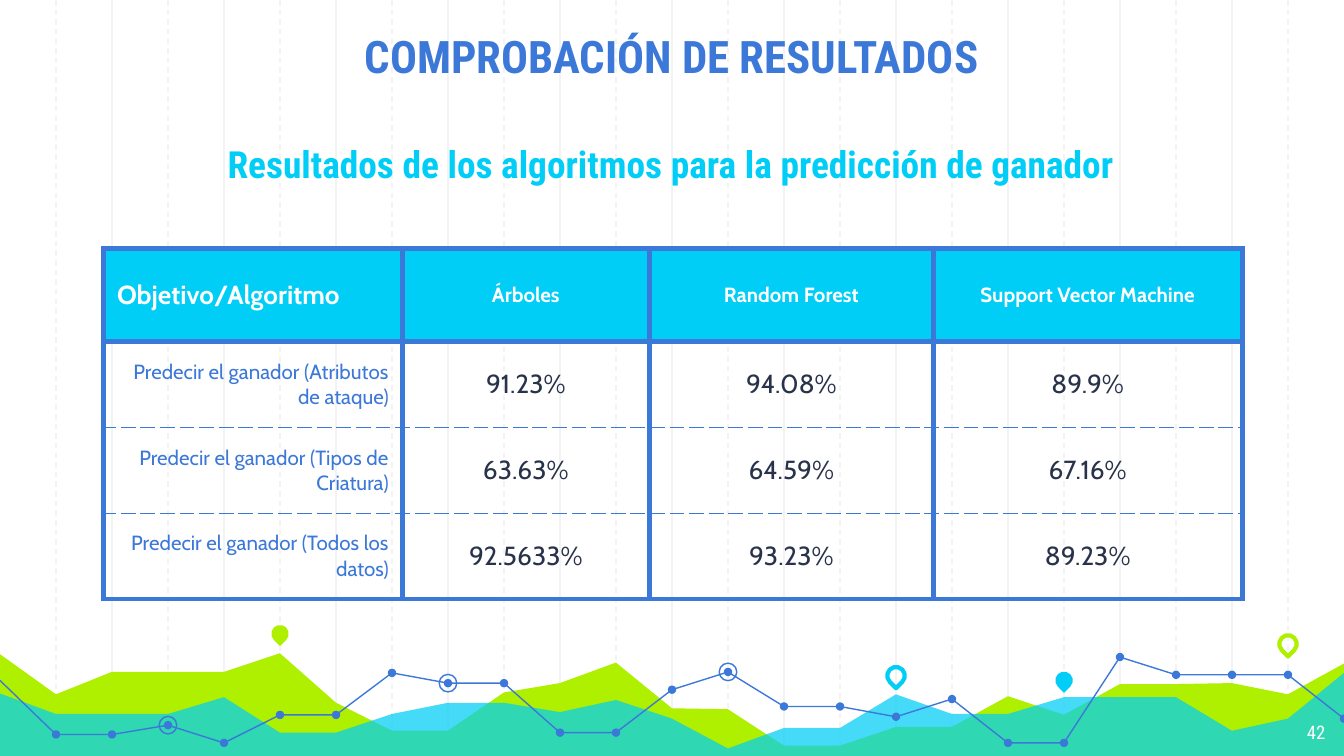
from pptx import Presentation
from pptx.dml.color import RGBColor
from pptx.enum.dml import MSO_LINE
from pptx.enum.shapes import MSO_CONNECTOR, MSO_SHAPE as Shape
from pptx.enum.text import MSO_ANCHOR as Anchor, PP_ALIGN as Align
from pptx.oxml.ns import qn
from pptx.util import Pt
from lxml.etree import SubElement

WIDTH, HEIGHT, STEP = 720, 405, 30
BLUE, CYAN, LIME, NAVY = "3C78D8", "00CEF6", "AFF000", "28324A"
WHITE, GRID = "FFFFFF", "F3F3F3"
HEADING, BODY = "Roboto Condensed", "Cabin"

LIME_AREA = [15.5, 37, 25, 25, 25, 15, 41.5, 56.5, 56.5, 36, 31, 20, 44.5, 45,
             64.5, 64.5, 54.5, 54.5, 38, 48, 31.5, 31.5, 31, 37, 20.5]
CYAN_AREA = [36.5, 47.5, 47.5, 47.5, 38.5, 57.5, 57.5, 47.5, 41.5, 41.5, 46.5, 40,
             50, 66, 55, 55, 37, 47.5, 47.5, 38.5, 38.5, 38.5, 56.5, 50, 25.5]
TREND = [29.5, 58.5, 58.5, 53.5, 63, 48, 48, 25.5, 31, 31, 57.5, 57.5, 34.5, 25,
         43.5, 43.5, 49, 39.5, 63, 63, 17, 26.5, 26.5, 26.5, 50]
RINGS = [3, 8, 13]
PINS = [(5, 4.5, LIME, True), (16, 27, CYAN, False),
        (19, 29.5, CYAN, True), (23, 10, LIME, False)]

COLUMNS = [160, 132.5, 152, 165.5]
ROWS = [50, 46, 46, 46]
RESULTS = [
    ["Objetivo/Algoritmo", "Árboles", "Random Forest", "Support Vector Machine"],
    ["Predecir el ganador (Atributos de ataque)", "91.23%", "94.08%", "89.9%"],
    ["Predecir el ganador (Tipos de Criatura)", "63.63%", "64.59%", "67.16%"],
    ["Predecir el ganador (Todos los datos)", "92.5633%", "93.23%", "89.23%"],
]


def color(value):
    """Return the colour of a hex string."""
    return RGBColor.from_string(value)


def style(shape, fill=None, line=None, weight=0.75):
    """Set the fill and outline of a shape, leaving out what is not given."""
    shape.shadow.inherit = False
    if fill:
        shape.fill.solid()
        shape.fill.fore_color.rgb = color(fill)
    else:
        shape.fill.background()
    if line:
        shape.line.color.rgb = color(line)
        shape.line.width = Pt(weight)
    else:
        shape.line.fill.background()


def add_run(paragraph, text, font, size, ink, bold=False, align=Align.CENTER):
    """Add one formatted run to a paragraph."""
    paragraph.alignment = align
    run = paragraph.add_run()
    run.text = text
    run.font.name, run.font.size, run.font.bold = font, Pt(size), bold
    run.font.color.rgb = color(ink)


def add_text(slide, box, text, size, ink, bold=True, align=Align.CENTER, anchor=Anchor.TOP):
    """Add a heading-font text box."""
    frame = slide.shapes.add_textbox(*map(Pt, box)).text_frame
    frame.word_wrap = True
    frame.vertical_anchor = anchor
    frame.margin_left = frame.margin_right = Pt(7.2)
    frame.margin_top = frame.margin_bottom = Pt(7.2)
    add_run(frame.paragraphs[0], text, HEADING, size, ink, bold, align)


def add_grid(slide, left, top, width, height):
    """Draw vertical guides, dashed at every odd step."""
    for step in range(1, width // STEP):
        x = left + step * STEP
        guide = slide.shapes.add_connector(
            MSO_CONNECTOR.STRAIGHT, Pt(x), Pt(top), Pt(x), Pt(top + height))
        guide.line.color.rgb = color(GRID)
        guide.line.width = Pt(0.75)
        if step % 2:
            guide.line.dash_style = MSO_LINE.DASH
        SubElement(guide.element.spPr, qn("a:effectLst"))


def add_path(slide, points, closed):
    """Build a freeform through points."""
    points = [(Pt(x), Pt(y)) for x, y in points]
    builder = slide.shapes.build_freeform(*points[0])
    builder.add_line_segments(points[1:], close=closed)
    return builder.convert_to_shape()


def add_marker(slide, kind, x, y, size):
    """Add a preset shape centred on a point."""
    return slide.shapes.add_shape(
        kind, Pt(x - size / 2), Pt(y - size / 2), Pt(size), Pt(size))


def add_landscape(slide, left, top, width, height):
    """Draw the two areas, the pins and the dotted trend line."""
    def points(values):
        """Place values one step apart."""
        return [(left + i * STEP, top + y) for i, y in enumerate(values)]

    base = [(left + width, top + height), (left, top + height)]
    style(add_path(slide, points(LIME_AREA) + base, True), LIME)
    area = add_path(slide, points(CYAN_AREA) + base, True)
    style(area, CYAN)
    fill = area.element.spPr.find(qn("a:solidFill"))
    SubElement(fill[0], qn("a:alpha"), val="73000")

    for step, y, ink, filled in PINS:
        pin = add_marker(slide, Shape.TEAR, left + step * STEP, top + y, 9.4)
        pin.rotation = 135
        style(pin, ink if filled else None, None if filled else ink, 2.25)

    trend = points(TREND)
    style(add_path(slide, trend, False), line=BLUE)
    for x, y in trend[1:]:
        style(add_marker(slide, Shape.OVAL, x, y, 4.5), BLUE)
    for step in RINGS:
        style(add_marker(slide, Shape.OVAL, *trend[step], 9.4), line=BLUE)


def add_borders(cell, dashed):
    """Draw the four cell borders, with thin dashes on the named sides."""
    properties = cell._tc.get_or_add_tcPr()
    for side in "LRTB":
        weight = 0.75 if side in dashed else 3
        line = SubElement(properties, qn(f"a:ln{side}"), w=str(Pt(weight)))
        fill = SubElement(line, qn("a:solidFill"))
        SubElement(fill, qn("a:srgbClr"), val=BLUE)
        SubElement(line, qn("a:prstDash"), val="dash" if side in dashed else "solid")


def add_results(slide, left, top, width, height):
    """Add the table of results per algorithm."""
    table = slide.shapes.add_table(
        len(ROWS), len(COLUMNS), Pt(left), Pt(top), Pt(width), Pt(height)).table
    table.first_row = table.horz_banding = False
    for column, size in zip(table.columns, COLUMNS):
        column.width = Pt(size)
    for row, size in zip(table.rows, ROWS):
        row.height = Pt(size)
    for i, texts in enumerate(RESULTS):
        dashed = ("T" if i > 1 else "") + ("B" if 0 < i < len(ROWS) - 1 else "")
        for j, text in enumerate(texts):
            cell = table.cell(i, j)
            add_borders(cell, dashed)
            cell.vertical_anchor = Anchor.MIDDLE
            cell.margin_left = cell.margin_right = Pt(7.2)
            cell.margin_top = cell.margin_bottom = Pt(5)
            header, label = i == 0, j == 0
            if header:
                cell.fill.solid()
                cell.fill.fore_color.rgb = color(CYAN)
            else:
                cell.fill.background()
            size = 14 if header == label else 11
            ink = WHITE if header else BLUE if label else NAVY
            align = Align.CENTER
            if label:
                align = Align.LEFT if header else Align.RIGHT
            add_run(cell.text_frame.paragraphs[0], text, BODY, size, ink, header, align)


def main():
    """Build and save the presentation."""
    presentation = Presentation()
    presentation.slide_width, presentation.slide_height = Pt(WIDTH), Pt(HEIGHT)
    slide = presentation.slides.add_slide(presentation.slide_layouts[6])
    add_grid(slide, 0, 0, WIDTH, HEIGHT)
    add_landscape(slide, 0, 335, WIDTH, 71)
    add_text(slide, (84, 51, 551, 56), "Resultados de los algoritmos para la predicción de ganador",
             20, CYAN, anchor=Anchor.BOTTOM)
    add_results(slide, 55.5, 133, sum(COLUMNS), sum(ROWS))
    add_text(slide, (674, 380, 43, 25), "42", 10, WHITE, False, Align.RIGHT)
    add_text(slide, (163.5, 8, 392.5, 44), "COMPROBACIÓN DE RESULTADOS", 24, BLUE)
    presentation.save("out.pptx")


if __name__ == "__main__":
    main()
